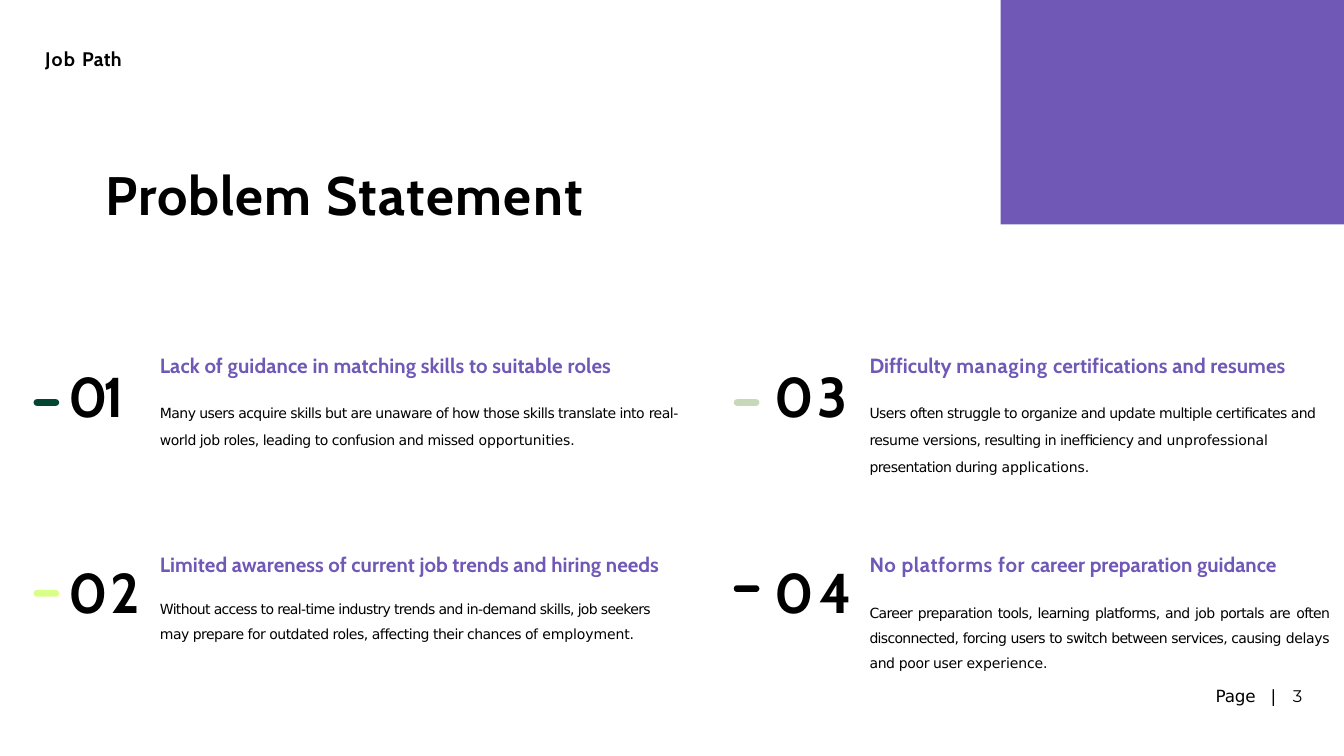
from dataclasses import dataclass

from pptx import Presentation
from pptx import util as u
from pptx.dml.color import RGBColor
from pptx.enum import shapes, text

SCALE = 9144  # EMU in one px, at 100 px to the inch

Runs = list[tuple[str, float]]  # wording and its letter spacing in points


@dataclass(frozen=True)
class Theme:
    purple: str = "7058B6"
    black: str = "000000"
    green: str = "034633"
    lime: str = "D9FF87"
    sage: str = "C7D8B8"
    heading_font: str = "Cabin"
    body_font: str = "DejaVu Sans"
    page_font: str = "Montserrat"
    title_size: int = 58
    number_size: int = 60
    heading_size: int = 22
    brand_size: int = 21
    page_size: int = 18
    body_size: int = 15


THEME = Theme()


@dataclass(frozen=True)
class Problem:
    column: int
    row: int
    number: str
    number_spacing: float
    dash_color: str
    dash_top: int
    heading: Runs
    body: Runs
    body_width: int
    body_gap: float
    line_spacing: float
    align: text.PP_ALIGN = text.PP_ALIGN.LEFT


PROBLEMS = [
    Problem(0, 0, "01", -4.5, THEME.green, 594,
            [("Lack of guidance in matching skills to suitable roles", 0.1)],
            [("Many users acquire skills but are unaware of how those skills translate into ", -0.6),
             ("real- world job roles, leading to confusion and missed ", -0.55),
             ("opportunities.", -0.1)],
            773, 18, 1.6),
    Problem(0, 1, "02", 2.2, THEME.lime, 878,
            [("Limited awareness of current job trends and hiring needs", 0.05)],
            [("Without access to real-time industry trends and in-demand skills, job seekers ", -0.7),
             ("may prepare for outdated roles, affecting their chances of ", -0.55),
             ("employment.", -0.1)],
            773, 16, 1.5),
    Problem(1, 0, "03", 3.9, THEME.sage, 594,
            [("Difficulty ", 0), ("managing ", 0.7), ("certifications and resumes", 0.1)],
            [("Users often struggle to organize and update multiple certificates ", -0.6),
             ("and resume versions, resulting in inefficiency and ", -0.6),
             ("unprofessional ", -0.1),
             ("presentation during ", -0.6), ("applications.", -0.1)],
            667, 18, 1.6),
    Problem(1, 1, "04", 5.2, THEME.black, 871,
            [("No platforms for ", 0.65), ("career preparation guidance", 0)],
            [("Career preparation tools, learning platforms, and job portals are ", -0.7),
             ("often disconnected, forcing users to switch between services, causing ", -0.75),
             ("delays and poor user ", -0.4), ("experience.", -0.1)],
            685, 20.2, 1.5, text.PP_ALIGN.JUSTIFY),
]

# Left edges of each column and top edges of each row
DASH_X, NUMBER_X, TEXT_X = (50, 1092), (101, 1152), (237, 1293)
NUMBER_Y, TEXT_Y = (537, 829), (525, 821)


def px(length: int) -> u.Emu:
    return u.Emu(length * SCALE)


def place(shape, left: int, top: int, width: int, height: int):
    """Move a text shape and return its frame, ready for writing."""
    shape.left, shape.top, shape.width, shape.height = map(px, (left, top, width, height))
    frame = shape.text_frame
    frame.word_wrap = True
    frame.auto_size = text.MSO_AUTO_SIZE.NONE
    frame.vertical_anchor = text.MSO_ANCHOR.TOP
    frame.margin_left = frame.margin_top = px(1)
    frame.margin_right = frame.margin_bottom = 0
    return frame


def text_box(slide, left: int, top: int, width: int, height: int):
    box = slide.shapes.add_textbox(0, 0, 0, 0)
    return place(box, left, top, width, height)


def write(paragraph, runs: Runs, *, size: int, font: str = THEME.heading_font,
          color: str = THEME.black, bold: bool = True, before: float = 1,
          line_spacing: float = 1.0, align: text.PP_ALIGN = text.PP_ALIGN.LEFT) -> None:
    paragraph.alignment = align
    paragraph.space_before = u.Pt(before)
    paragraph.line_spacing = line_spacing
    for wording, spacing in runs:
        run = paragraph.add_run()
        run.text = wording
        run.font.name = font
        run.font.size = u.Pt(size)
        run.font.bold = bold
        run.font.color.rgb = RGBColor.from_string(color)
        run._r.get_or_add_rPr().set("spc", str(round(spacing * 100)))


def filled(slide, kind: shapes.MSO_SHAPE, left: int, top: int, width: int,
           height: int, color: str):
    shape = slide.shapes.add_shape(kind, *map(px, (left, top, width, height)))
    shape.shadow.inherit = False
    shape.fill.solid()
    shape.fill.fore_color.rgb = RGBColor.from_string(color)
    shape.line.fill.background()
    return shape


def draw_problem(slide, problem: Problem) -> None:
    column, row = problem.column, problem.row
    dash = filled(slide, shapes.MSO_SHAPE.ROUNDED_RECTANGLE, DASH_X[column],
                  problem.dash_top, 38, 10, problem.dash_color)
    dash.adjustments[0] = 0.5

    number = text_box(slide, NUMBER_X[column], NUMBER_Y[row], 130, 103)
    write(number.paragraphs[0], [(problem.number, problem.number_spacing)],
          size=THEME.number_size)

    card = text_box(slide, TEXT_X[column], TEXT_Y[row], problem.body_width, 180)
    write(card.paragraphs[0], problem.heading, size=THEME.heading_size,
          color=THEME.purple)
    write(card.add_paragraph(), problem.body, size=THEME.body_size,
          font=THEME.body_font, bold=False, before=problem.body_gap,
          line_spacing=problem.line_spacing, align=problem.align)


def main() -> None:
    deck = Presentation()
    deck.slide_width, deck.slide_height = px(2000), px(1125)
    slide = deck.slides.add_slide(deck.slide_layouts.get_by_name("Title Only"))

    # Corner block, brand and title
    filled(slide, shapes.MSO_SHAPE.RECTANGLE, 1489, 0, 511, 334, THEME.purple)
    brand = text_box(slide, 66, 69, 129, 38)
    write(brand.paragraphs[0], [("Job ", 1.4), ("Path", 0.4)], size=THEME.brand_size)
    title = place(slide.shapes.title, 156, 239, 760, 99)
    write(title.paragraphs[0], [("Problem ", 1.2), ("Statement", 1.6)],
          size=THEME.title_size)

    # Four numbered problems
    for problem in PROBLEMS:
        draw_problem(slide, problem)

    # Page number
    for left, width, wording, spacing, font in (
        (1808, 65, "Page", -0.2, THEME.body_font),
        (1890, 17, "|", 1.2, THEME.body_font),
        (1923, 21, "3", -0.5, THEME.page_font),
    ):
        part = text_box(slide, left, 1020, width, 35)
        write(part.paragraphs[0], [(wording, spacing)], size=THEME.page_size,
              font=font, bold=False, before=2.2)

    deck.save("out.pptx")


if __name__ == "__main__":
    main()
